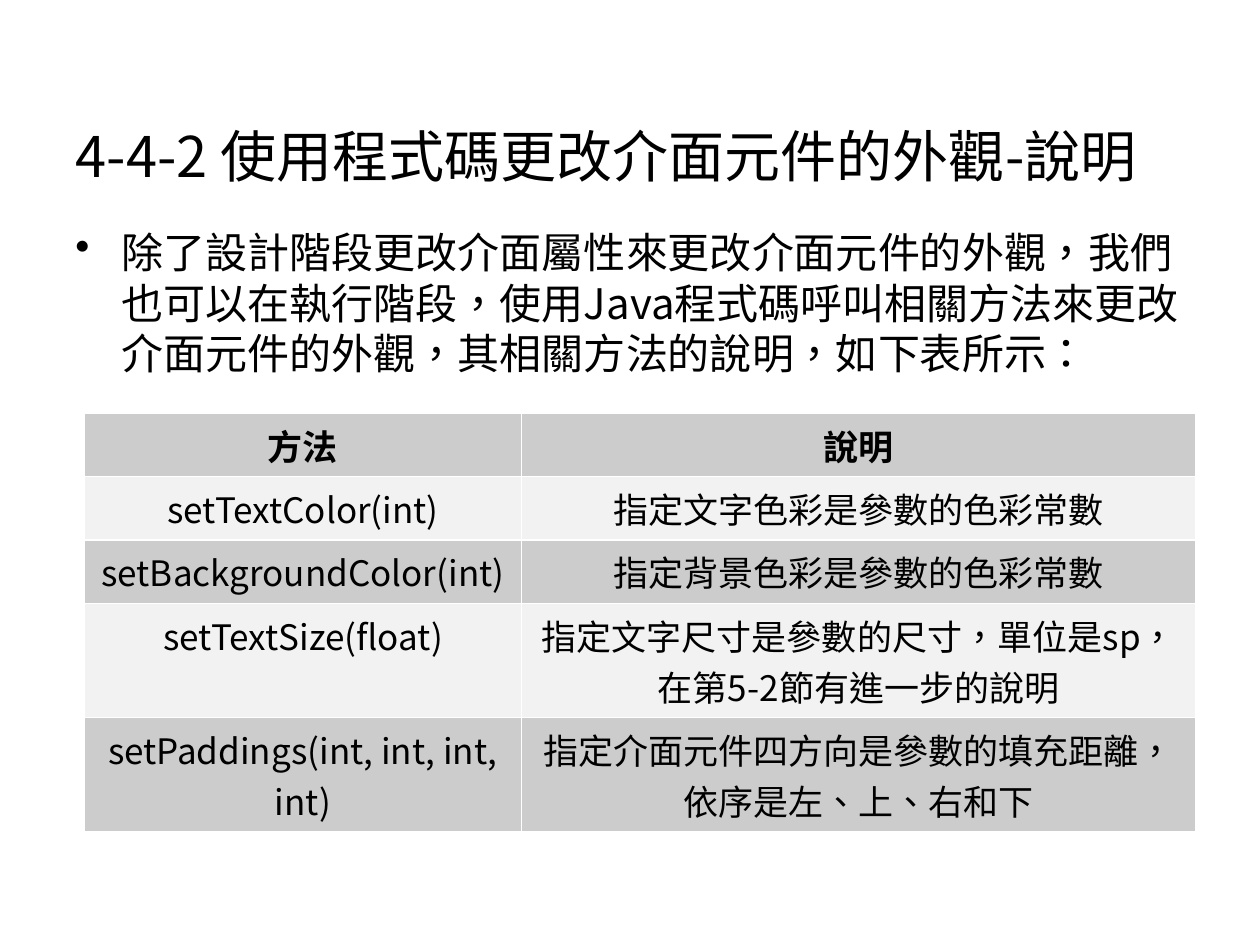
"""Builds a slide that explains methods for restyling interface elements in code."""
import pptx
import pptx.dml.color
import pptx.enum.text
import pptx.util
from lxml import etree

FONT = "Noto Sans CJK SC"
ALIGN = pptx.enum.text.PP_ALIGN
ANCHOR = pptx.enum.text.MSO_ANCHOR
WIDTH, HEIGHT = pptx.util.Inches(10), pptx.util.Inches(7.5)
MARGIN = int(WIDTH * 0.05)
CONTENT = WIDTH - 2 * MARGIN


def color(code):
    return pptx.dml.color.RGBColor.from_string(code)


def write(frame, text, size, align, bold=False):
    frame.word_wrap = True
    para = frame.paragraphs[0]
    para.text = text
    para.alignment = align
    para.font.name = FONT
    para.font.size = pptx.util.Pt(size)
    para.font.bold = bold
    para.font.color.rgb = color("000000")
    para.font._element.set("lang", "zh-TW")
    east_asian = para.font._element.makeelement(pptx.oxml.ns.qn("a:ea"), {"typeface": FONT})
    para.font._element.find(pptx.oxml.ns.qn("a:latin")).addnext(east_asian)
    return para


deck = pptx.Presentation()
deck.slide_width, deck.slide_height = WIDTH, HEIGHT
page = deck.slides.add_slide(deck.slide_layouts[5])

title = page.shapes.title
title.left, title.top, title.width, title.height = MARGIN, int(HEIGHT * 0.04), CONTENT, int(HEIGHT / 6)
title.text_frame.vertical_anchor = ANCHOR.BOTTOM
write(title.text_frame, "4-4-2 使用程式碼更改介面元件的外觀-說明", 32, ALIGN.LEFT)

body = page.shapes.add_textbox(MARGIN, pptx.util.Inches(1.75), CONTENT, pptx.util.Inches(5.15))
intro = write(
    body.text_frame,
    "除了設計階段更改介面屬性來更改介面元件的外觀，我們也可以在執行階段，"
    "使用Java程式碼呼叫相關方法來更改介面元件的外觀，其相關方法的說明，如下表所示：",
    24, ALIGN.LEFT)
intro.space_before = pptx.util.Pt(6)
indent = pptx.util.Inches(0.37)
properties = intro._p.get_or_add_pPr()
properties.set("marL", str(indent))
properties.set("indent", str(-indent))
bullet = properties.makeelement(pptx.oxml.ns.qn("a:buChar"), {"char": "•"})
properties.find(pptx.oxml.ns.qn("a:defRPr")).addprevious(bullet)

methods = [
    ("方法", "說明"),
    ("setTextColor(int)", "指定文字色彩是參數的色彩常數"),
    ("setBackgroundColor(int)", "指定背景色彩是參數的色彩常數"),
    ("setTextSize(float)", "指定文字尺寸是參數的尺寸，單位是sp，在第5-2節有進一步的說明"),
    ("setPaddings(int, int, int, int)", "指定介面元件四方向是參數的填充距離，依序是左、上、右和下"),
]
column_widths = [3.47, 5.35]
row_heights = [pptx.util.Inches(0.1) + lines * pptx.util.Pt(29) for lines in (1, 1, 1, 2, 2)]
table = page.shapes.add_table(
    len(methods), len(column_widths), pptx.util.Inches(0.67), pptx.util.Inches(3.28),
    pptx.util.Inches(sum(column_widths)), sum(row_heights)).table
table.first_row = table.horz_banding = False
for column, width in zip(table.columns, column_widths):
    column.width = pptx.util.Inches(width)
for row_index, (row, height) in enumerate(zip(table.rows, row_heights)):
    row.height = height
    for cell, text in zip(row.cells, methods[row_index]):
        write(cell.text_frame, text, 20, ALIGN.CENTER, bold=row_index == 0)
        cell.fill.solid()
        cell.fill.fore_color.rgb = color("F2F2F2" if row_index % 2 else "CCCCCC")
        cell_properties = cell._tc.get_or_add_tcPr()
        for position, side in enumerate(("lnL", "lnR", "lnT", "lnB")):
            line = etree.Element(pptx.oxml.ns.qn("a:" + side), w=str(pptx.util.Pt(0.96)))
            paint = etree.SubElement(line, pptx.oxml.ns.qn("a:solidFill"))
            etree.SubElement(paint, pptx.oxml.ns.qn("a:srgbClr"), val="FFFFFF")
            cell_properties.insert(position, line)

deck.save("out.pptx")
